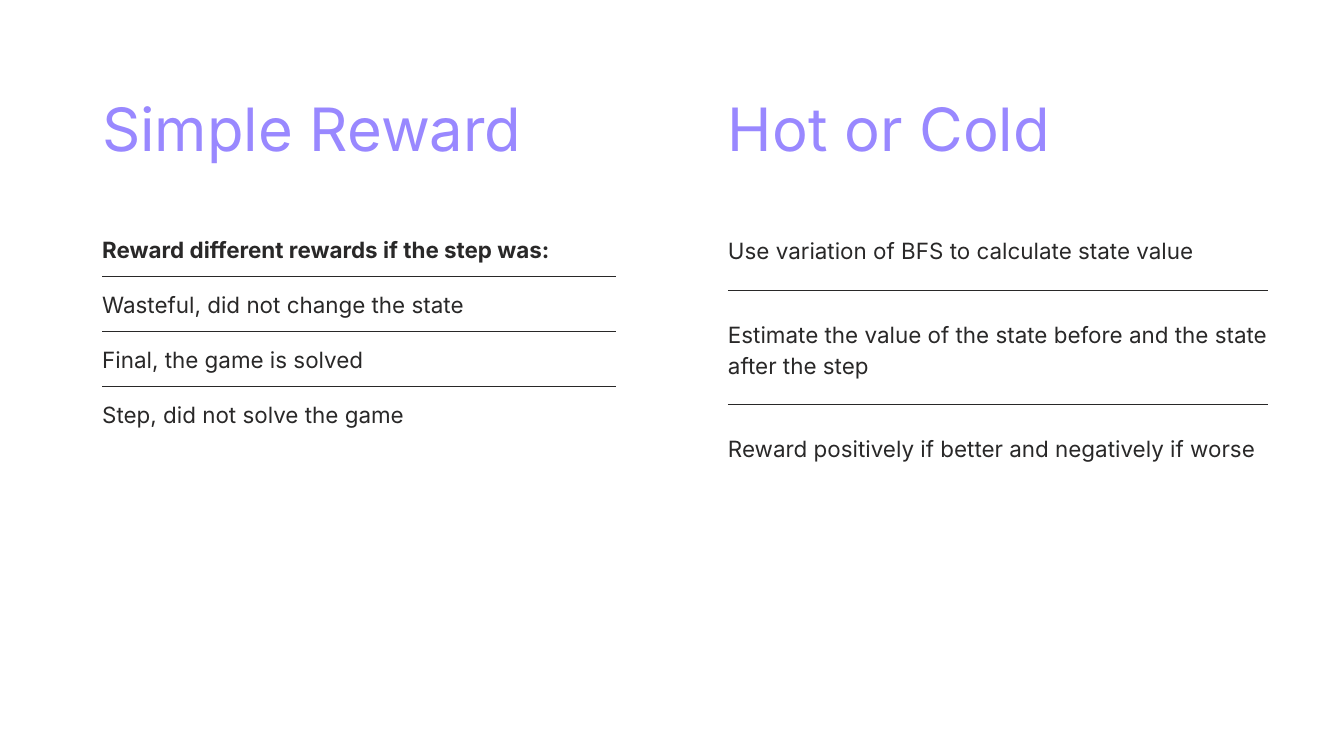
from lxml.etree import SubElement
from pptx import Presentation
from pptx.dml.color import RGBColor
from pptx.enum.shapes import MSO_CONNECTOR as Connector
from pptx.oxml.ns import qn
from pptx.util import Pt

FONT = "Inter"
PURPLE, INK, WHITE = "9988FF", "292828", "FFFFFF"
TITLE_TOP, TITLE_HEIGHT = 98, 77
ROW_HEIGHT, EXTRA_LINE = 31.5, 32.5

# Each row: text, number of lines, bold
COLUMNS = [
    {
        "title": "Simple Reward",
        "left": 109.5, "width": 551, "top": 248.4,
        "gap_above_rule": 15.8, "gap_below_rule": 11.7, "rule_weight": 0.75,
        "rows": [
            ("Reward different rewards if the step was:", 1, True),
            ("Wasteful, did not change the state", 1, False),
            ("Final, the game is solved", 1, False),
            ("Step, did not solve the game", 1, False),
        ],
    },
    {
        "title": "Hot or Cold",
        "left": 780, "width": 579, "top": 249,
        "gap_above_rule": 30.5, "gap_below_rule": 28, "rule_weight": 1,
        "rows": [
            ("Use variation of BFS to calculate state value", 1, False),
            ("Estimate the value of the state before and the state after the step", 2, False),
            ("Reward positively if better and negatively if worse", 1, False),
        ],
    },
]


def color(value):
    return RGBColor.from_string(value)


def add_text(slide, text, left, top, width, height, size, spacing, ink, bold=False):
    box = slide.shapes.add_textbox(Pt(left), Pt(top), Pt(width), Pt(height))
    frame = box.text_frame
    frame.margin_left = frame.margin_right = frame.margin_top = frame.margin_bottom = 0
    frame.word_wrap = True
    frame.text = text
    paragraph = frame.paragraphs[0]
    paragraph.line_spacing = Pt(spacing)
    font = paragraph.runs[0].font
    font.name, font.size, font.bold = FONT, Pt(size), bold
    font.color.rgb = color(ink)


def add_rule(slide, left, top, width, weight):
    rule = slide.shapes.add_connector(
        Connector.STRAIGHT, Pt(left), Pt(top), Pt(left + width), Pt(top))
    rule.line.color.rgb = color(INK)
    rule.line.width = Pt(weight)
    SubElement(rule._element.spPr, qn("a:effectLst"))


def add_column(slide, column):
    left, width, top = column["left"], column["width"], column["top"]
    add_text(slide, column["title"], left, TITLE_TOP, width, TITLE_HEIGHT, 64, 76.8, PURPLE)
    for index, (text, lines, bold) in enumerate(column["rows"]):
        # A rule separates each row from the one above
        if index:
            top += column["gap_above_rule"]
            add_rule(slide, left, top, width, column["rule_weight"])
            top += column["gap_below_rule"]
        height = ROW_HEIGHT + (lines - 1) * EXTRA_LINE
        add_text(slide, text, left, top, width, height, 24, 33.6, INK, bold)
        top += height


def main():
    presentation = Presentation()
    presentation.slide_width, presentation.slide_height = Pt(1440), Pt(810)
    slide = presentation.slides.add_slide(presentation.slide_layouts[6])
    slide.background.fill.solid()
    slide.background.fill.fore_color.rgb = color(WHITE)
    for column in COLUMNS:
        add_column(slide, column)
    presentation.save("out.pptx")


if __name__ == "__main__":
    main()
